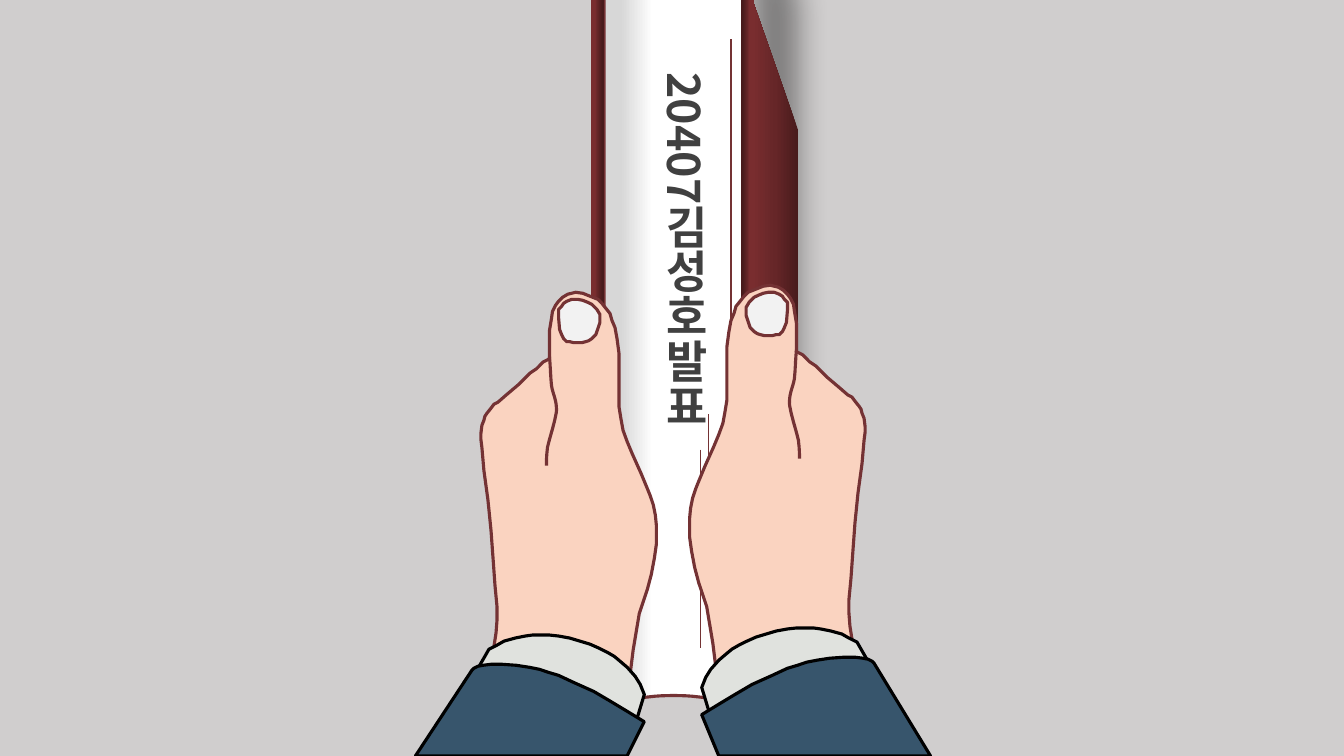
from lxml import etree
from pptx import Presentation
from pptx.dml.color import RGBColor
from pptx.enum.shapes import MSO_CONNECTOR, MSO_SHAPE
from pptx.oxml import parse_xml
from pptx.oxml.ns import nsdecls, qn
from pptx.util import Inches, Pt

# ---- Content: title, colours, outlines in inches ----
W, H = 13.33, 7.5
TITLE, FONT = "20407김성호발표", "Noto Sans CJK KR"
BACKDROP, INK, MAROON = "D0CECE", "404040", "743234"
SKIN, NAIL, CUFF, SLEEVE, BLACK = "FAD3C0", "F2F2F2", "E0E2DE", "37556C", "000000"
LEATHER = ("481B1C", "662628", "792D2F")

PAGE_LEFT, PAGE_RIGHT, PAGE_TOP, PAGE_BOTTOM = 5.99, 7.38, -0.03, 7.02
PAGE_ARC = [(7.32, 7), (7.15, 6.94), (6.93, 6.9), (6.68, 6.9),
            (6.43, 6.9), (6.21, 6.94), (6.04, 7)]
HINGES = [(5.86, 180), (7.35, 0)]                      # left edge, gradient angle
RULES = [(7.25, 0.39, 3.94), (7.03, 4.11, 1.97), (6.95, 4.46, 1.97)]  # x, top, length

# Left hand; the right one is its mirror image
HAND = [
    (6.14, 3.81), (6.14, 3.64), (6.14, 3.51), (6.12, 3.36), (6.1, 3.25), (6.07, 3.18),
    (6.05, 3.11), (6.01, 3.06), (5.97, 3.01), (5.93, 2.97), (5.88, 2.95), (5.83, 2.93),
    (5.78, 2.91), (5.71, 2.9), (5.67, 2.91), (5.63, 2.92), (5.58, 2.95), (5.54, 2.99),
    (5.51, 3.03), (5.48, 3.09), (5.47, 3.16), (5.45, 3.28), (5.45, 3.56), (5.39, 3.59),
    (5.32, 3.66), (5.26, 3.7), (5.15, 3.81), (5.02, 3.92), (4.94, 3.99), (4.9, 4.01),
    (4.87, 4.05), (4.83, 4.1), (4.81, 4.13), (4.8, 4.17), (4.78, 4.22), (4.77, 4.3),
    (4.77, 4.36), (4.78, 4.44), (4.8, 4.67), (4.84, 4.96), (4.87, 5.26), (4.89, 5.53),
    (4.91, 5.81), (4.93, 6.02), (4.93, 6.15), (4.92, 6.28), (4.9, 6.41), (4.88, 6.47),
    (4.81, 6.8), (6.16, 6.94), (6.25, 6.69), (6.28, 6.45), (6.34, 6.09), (6.36, 6.03),
    (6.42, 5.85), (6.46, 5.7), (6.49, 5.54), (6.51, 5.4), (6.51, 5.21), (6.5, 5.11),
    (6.48, 5.01), (6.45, 4.92), (6.43, 4.87), (6.36, 4.7), (6.27, 4.5), (6.22, 4.38),
    (6.18, 4.27), (6.16, 4.16), (6.14, 4.04), (6.14, 3.9)]
THUMBNAIL = [
    (5.95, 3.12), (5.92, 3.07), (5.87, 3.02), (5.83, 3), (5.78, 2.98), (5.73, 2.97),
    (5.67, 2.97), (5.62, 2.99), (5.59, 3.01), (5.57, 3.04), (5.54, 3.07), (5.54, 3.15),
    (5.55, 3.27), (5.57, 3.32), (5.59, 3.36), (5.62, 3.39), (5.65, 3.39), (5.69, 3.4),
    (5.77, 3.4), (5.81, 3.39), (5.84, 3.38), (5.87, 3.36), (5.91, 3.32), (5.93, 3.26),
    (5.95, 3.2)]
SHIRT_CUFF = [
    (6.39, 6.89), (6.35, 6.79), (6.3, 6.71), (6.22, 6.62), (6.15, 6.56), (6.09, 6.51),
    (6.02, 6.47), (5.94, 6.43), (5.85, 6.39), (5.75, 6.36), (5.65, 6.33), (5.54, 6.31),
    (5.45, 6.3), (5.28, 6.3), (5.21, 6.31), (5.11, 6.33), (5, 6.36), (4.93, 6.4),
    (4.85, 6.44), (4.54, 6.98), (6.23, 7.42)]
JACKET = [
    (4.87, 6.59), (4.98, 6.59), (5.12, 6.6), (5.25, 6.62), (5.35, 6.64), (5.44, 6.67),
    (5.54, 6.7), (5.69, 6.77), (5.89, 6.86), (6.06, 6.96), (6.21, 7.05), (6.39, 7.16),
    (6.22, 7.58), (4.12, 7.58), (4.68, 6.65), (4.7, 6.63), (4.74, 6.61), (4.79, 6.6)]
CREASE = [(5.45, 3.54), (5.46, 3.63), (5.46, 3.73), (5.47, 3.82), (5.48, 3.9),
          (5.52, 3.96), (5.52, 4.07), (5.51, 4.17), (5.45, 4.35), (5.43, 4.44),
          (5.42, 4.53), (5.42, 4.58), (5.42, 4.62)]
MIRROR_SUM, MIRROR_RISE = 13.35, 0.07

prs = Presentation()
prs.slide_width, prs.slide_height = Inches(W), Inches(H)
slide = prs.slides.add_slide(prs.slide_layouts[6])
shapes = slide.shapes


# ---- Helpers ----
def rgb(color):
    return RGBColor.from_string(color)


def paint(shape, fill=None, line=None, width=2.25):
    shape.shadow.inherit = False
    if fill:
        shape.fill.solid()
        shape.fill.fore_color.rgb = rgb(fill)
    else:
        shape.fill.background()
    if line:
        shape.line.color.rgb = rgb(line)
        shape.line.width = Pt(width)
    else:
        shape.line.fill.background()
    return shape


def gradient(shape, stops, angle):
    gs = "".join(f'<a:gs pos="{pos * 1000}"><a:srgbClr val="{color}"/></a:gs>'
                 for pos, color in stops)
    new = parse_xml(f'<a:gradFill {nsdecls("a")} rotWithShape="1"><a:gsLst>{gs}</a:gsLst>'
                    f'<a:lin ang="{angle * 60000}" scaled="0"/></a:gradFill>')
    props = shape.element.spPr
    old = props.find(qn("a:noFill"))
    props.replace(old, new)


def bezier(points, steps=12):
    """Points along a chain of cubic curves that share their end points."""
    path = [points[0]]
    for i in range(0, len(points) - 1, 3):
        for s in range(1, steps + 1):
            t = s / steps
            weights = ((1 - t) ** 3, 3 * t * (1 - t) ** 2, 3 * t * t * (1 - t), t ** 3)
            path.append(tuple(sum(w * p[axis] for w, p in zip(weights, points[i:i + 4]))
                              for axis in (0, 1)))
    return path


def outline(points, close=True):
    units = [(x * 1000, y * 1000) for x, y in points]
    builder = shapes.build_freeform(*units[0], scale=914.4)
    builder.add_line_segments(units[1:], close=close)
    return builder.convert_to_shape()


def hand(place):
    for points, fill, line in ((HAND, SKIN, MAROON), (THUMBNAIL, NAIL, MAROON),
                               (SHIRT_CUFF, CUFF, BLACK), (JACKET, SLEEVE, BLACK)):
        placed = [place(x, y) for x, y in points]
        paint(outline([(x, min(y, H)) for x, y in placed]), fill, line)
    paint(outline([place(x, y) for x, y in bezier(CREASE)], close=False), None, MAROON)


# ---- Background and back cover ----
slide.background.fill.solid()
slide.background.fill.fore_color.rgb = rgb(BACKDROP)

cover = paint(shapes.add_shape(MSO_SHAPE.PARALLELOGRAM, Inches(3.94), Inches(3.53),
                               Inches(H), Inches(0.45)))
cover.rotation = 90
cover.adjustments[0] = 2.857
gradient(cover, zip((0, 50, 100), LEATHER), 90)
effects = cover.element.spPr.find(qn("a:effectLst"))
shadow = etree.SubElement(effects, qn("a:outerShdw"), blurRad=str(Pt(22)), dist=str(Pt(92)),
                          dir=str(270 * 60000), algn="b", rotWithShape="0")
tint = etree.SubElement(shadow, qn("a:srgbClr"), val=BLACK)
etree.SubElement(tint, qn("a:alpha"), val="40000")

# ---- Page with curved lower edge ----
page = paint(outline([(PAGE_LEFT, PAGE_TOP), (PAGE_RIGHT, PAGE_TOP), (PAGE_RIGHT, PAGE_BOTTOM)]
                     + bezier(PAGE_ARC) + [(PAGE_LEFT, PAGE_BOTTOM)]), None, MAROON)
gradient(page, [(12, "D7D7D7"), (35, "FFFFFF")], 0)

# ---- Vertical title ----
box = shapes.add_textbox(Inches(6.37), Inches(0.62), Inches(0.74), Inches(4.7))
frame = box.text_frame
frame.word_wrap = True
frame._txBody.bodyPr.set("vert", "eaVert")
run = frame.paragraphs[0].add_run()
run.text = TITLE
run.font.name, run.font.size, run.font.bold = FONT, Pt(32), True
run.font.color.rgb = rgb(INK)
etree.SubElement(run.font._element, qn("a:ea"), typeface=FONT)

# ---- Hinges and page rules ----
for left, angle in HINGES:
    hinge = paint(shapes.add_shape(MSO_SHAPE.RECTANGLE, Inches(left), Inches(-0.01),
                                   Inches(0.13), Inches(7.09)))
    gradient(hinge, zip((13, 50, 66), LEATHER), angle)

for x, top, length in RULES:
    rule = shapes.add_connector(MSO_CONNECTOR.STRAIGHT, Inches(x), Inches(top),
                                Inches(x), Inches(top + length))
    rule.line.color.rgb = rgb(MAROON)
    rule.line.width = Pt(0.75)
    etree.SubElement(rule._element.spPr, qn("a:effectLst"))

# ---- Hands ----
hand(lambda x, y: (x, y))
hand(lambda x, y: (MIRROR_SUM - x, y - MIRROR_RISE))

prs.save("out.pptx")
